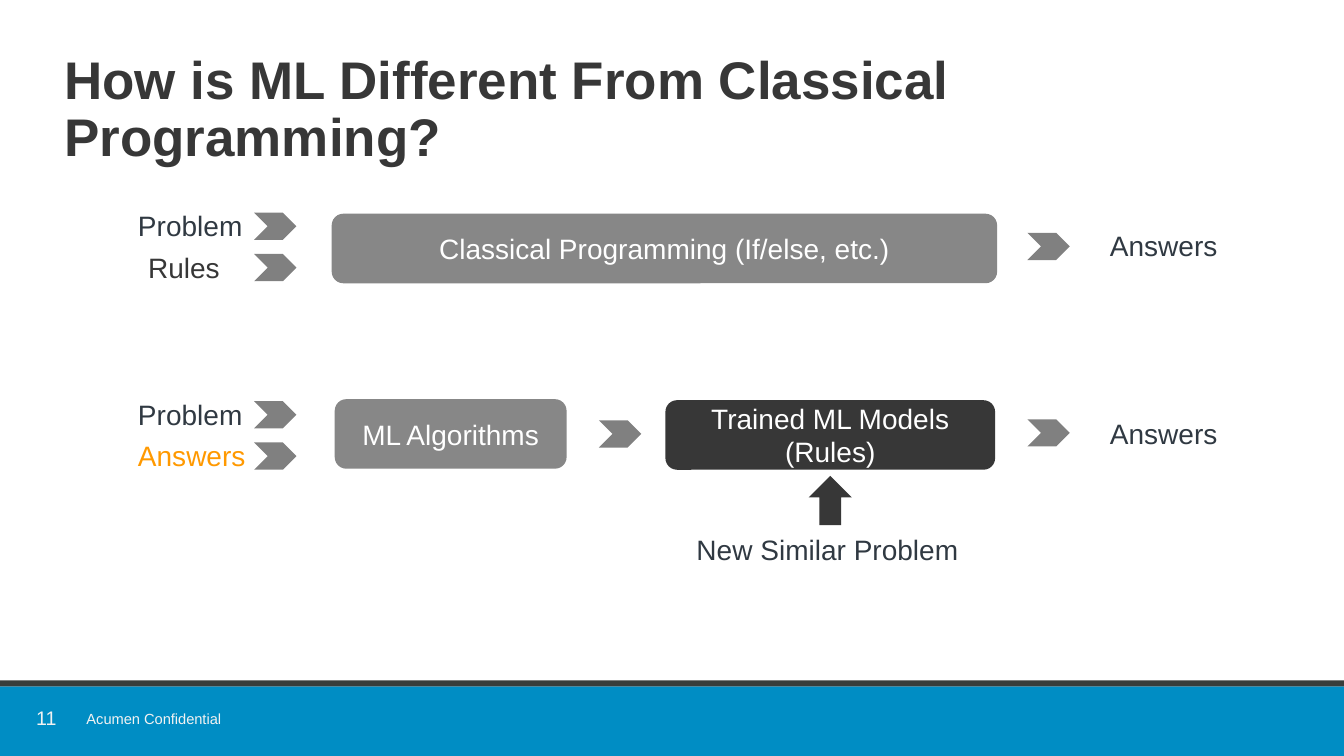
from dataclasses import dataclass

from pptx import Presentation
from pptx.dml.color import RGBColor
from pptx.enum import shapes, text
from pptx.util import Inches, Pt


@dataclass(frozen=True)
class Theme:
    font: str = "Arial"
    white: str = "FFFFFF"
    footer_blue: str = "008DC4"
    footer_edge: str = "383D3B"
    footer_ink: str = "F2F2F2"
    dark: str = "373737"
    ink: str = "303942"
    accent: str = "FF9900"
    process: str = "878787"
    arrow: str = "808080"
    title_size: float = 37.8
    body_size: float = 20
    number_size: float = 14
    notice_size: float = 10.5


class Deck:
    def __init__(self, theme):
        self.theme = theme
        self.presentation = Presentation()
        self.presentation.slide_width = Inches(13.33)
        self.presentation.slide_height = Inches(7.5)
        self.slide = self.presentation.slides.add_slide(self.presentation.slide_layouts[6])

    def set_words(self, frame, words, color, size, align, bold=False, spacing=None):
        frame.text = words
        paragraph = frame.paragraphs[0]
        paragraph.alignment = align
        if spacing:
            paragraph.line_spacing = spacing
        font = paragraph.runs[0].font
        font.name, font.size, font.bold = self.theme.font, Pt(size), bold
        font.color.rgb = RGBColor.from_string(color)

    def shape(self, kind, box, fill):
        body = self.slide.shapes.add_shape(kind, *map(Inches, box))
        body.shadow.inherit = False
        body.fill.solid()
        body.fill.fore_color.rgb = RGBColor.from_string(fill)
        body.line.fill.background()
        return body

    def step(self, words, box, fill):
        frame = self.shape(shapes.MSO_SHAPE.ROUNDED_RECTANGLE, box, fill).text_frame
        frame.word_wrap = True
        frame.vertical_anchor = text.MSO_ANCHOR.MIDDLE
        self.set_words(frame, words, self.theme.white, self.theme.body_size,
                       text.PP_ALIGN.CENTER)

    def chevron(self, left, top):
        self.shape(shapes.MSO_SHAPE.CHEVRON, (left, top, 0.42, 0.27), self.theme.arrow)

    def label(self, words, box, color=None, size=None, align=text.PP_ALIGN.LEFT,
              bold=False, spacing=None, wrap=True):
        frame = self.slide.shapes.add_textbox(*map(Inches, box)).text_frame
        frame.word_wrap = wrap
        self.set_words(frame, words, color or self.theme.ink, size or self.theme.body_size,
                       align, bold, spacing)
        return frame


def main():
    theme = Theme()
    deck = Deck(theme)

    deck.shape(shapes.MSO_SHAPE.RECTANGLE, (-0.02, 6.81, 13.38, 0.69), theme.footer_blue)
    deck.shape(shapes.MSO_SHAPE.RECTANGLE, (-0.01, 6.75, 13.36, 0.06), theme.footer_edge)
    page_number = deck.label("11", (0.33, 7.02, 0.26, 0.23), theme.footer_ink,
                             theme.number_size, text.PP_ALIGN.CENTER, spacing=0.9)
    page_number.margin_left = page_number.margin_right = 0
    page_number.margin_top = page_number.margin_bottom = 0
    page_number.vertical_anchor = text.MSO_ANCHOR.MIDDLE
    deck.label("Acumen Confidential", (0.76, 6.99, 1.6, 0.28), theme.footer_ink,
               theme.notice_size, wrap=False)
    deck.label("How is ML Different From Classical Programming?", (0.54, 0.48, 12.02, 1.09),
               theme.dark, theme.title_size, bold=True, spacing=0.9)

    flows = (
        (2.02, "Rules", 1.37, 2.44, theme.dark, 2.22, 2.31),
        (3.89, "Answers", 1.27, 4.3, theme.accent, 4.08, 4.16),
    )
    for top, second_input, left, second_top, color, answers_top, output_top in flows:
        deck.label("Problem", (1.27, top, 2.18, 0.34))
        deck.label(second_input, (left, second_top, 1.3, 0.42), color)
        deck.label("Answers", (10.91, answers_top, 2.14, 0.42))
        for offset in (0.09, 0.5):
            deck.chevron(2.52, top + offset)
        deck.chevron(10.19, output_top)

    deck.step("Classical Programming (If/else, etc.)", (3.29, 2.12, 6.6, 0.69), theme.process)
    deck.step("ML Algorithms", (3.32, 3.96, 2.3, 0.69), theme.process)
    deck.chevron(5.94, 4.17)
    deck.step("Trained ML Models (Rules)", (6.6, 3.97, 3.27, 0.69), theme.dark)
    deck.shape(shapes.MSO_SHAPE.UP_ARROW, (8.02, 4.72, 0.43, 0.49), theme.dark)
    deck.label("New Similar Problem", (6.81, 5.23, 3.07, 0.35))

    deck.presentation.save("out.pptx")


if __name__ == "__main__":
    main()
